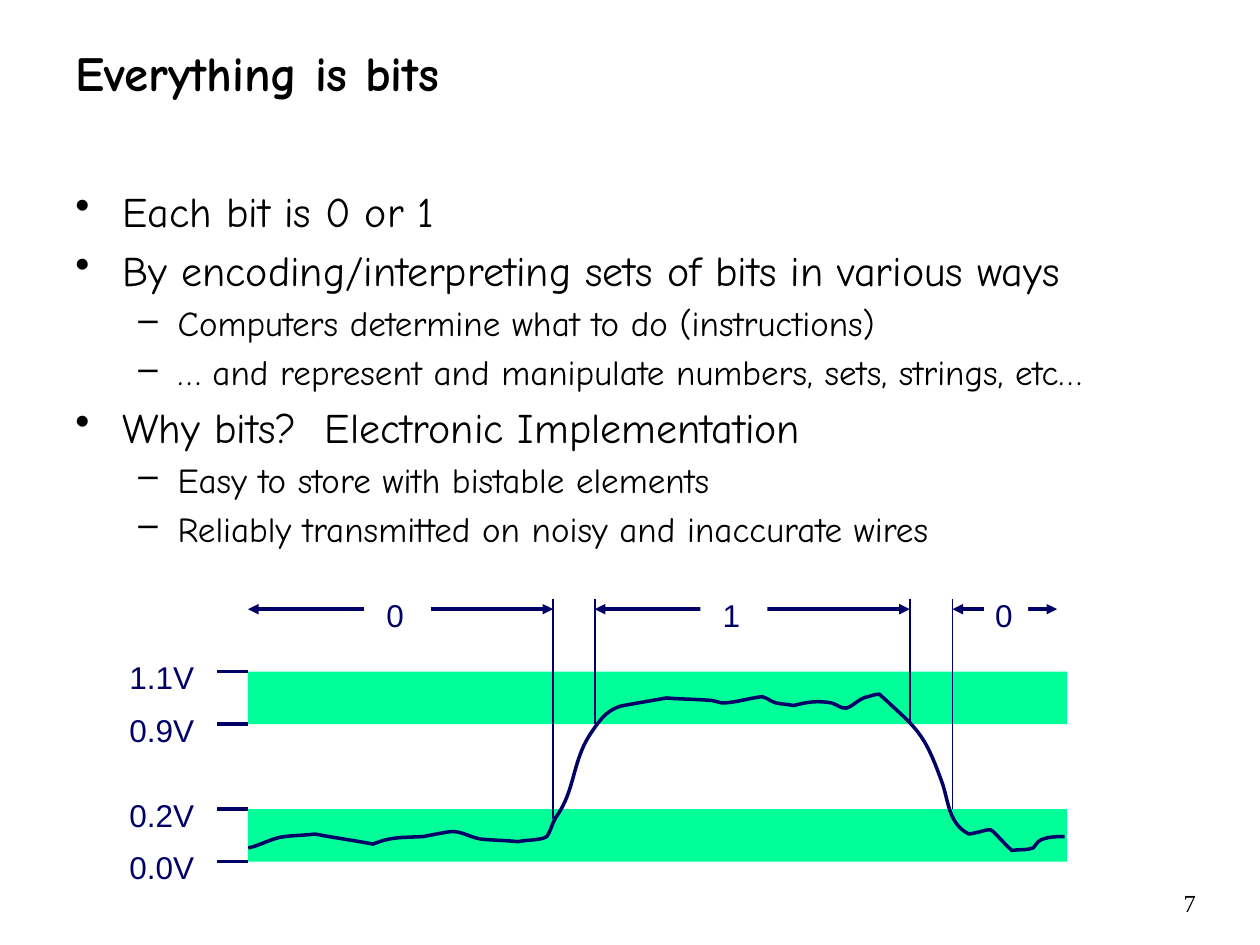
import pptx
import pptx.dml.color
import pptx.enum.shapes
import pptx.enum.text
import pptx.oxml
import pptx.oxml.ns
import pptx.util
from pptx.util import Cm

NAVY, GREEN, WHITE, BLACK = "000066", "00FF99", "FFFFFF", "000000"
LABEL_INSETS = (0.15, 0.15, 0.25, 0.15)
BAND_LEFT, BAND_WIDTH, BAND_HEIGHT = 5, 16.51, 1.06

BULLETS = [
    (0, "Each bit is 0 or 1"),
    (0, "By encoding/interpreting sets of bits in various ways"),
    (1, "Computers determine what to do (instructions)"),
    (1, "… and represent and manipulate numbers, sets, strings, etc…"),
    (0, "Why bits?  Electronic Implementation"),
    (1, "Easy to store with bistable elements"),
    (1, "Reliably transmitted on noisy and inaccurate wires"),
]
BULLET_LEVELS = [("•", 0.95, -0.95, 24), ("–", 2.06, -0.79, 20)]

VOLTAGES = {"1.1V": 13.54, "0.9V": 14.6, "0.2V": 16.31, "0.0V": 17.37}
INTERVALS = [(5, 11.15), (11.99, 18.34), (19.2, 21.31)]
BOUNDARIES = [(11.15, 16.51), (11.99, 14.6), (18.34, 14.6), (19.2, 16.31)]
BITS = [("0", 7.34, 1.35), ("1", 14.12, 1.35), ("0", 19.84, 0.89)]

SIGNAL_UNIT = Cm(0.0254)
SIGNAL_START = (197, 673)
SIGNAL_CURVES = [
    [(207, 671), (216, 665), (226, 664)],
    [(234, 663), (242, 663), (250, 662)],
    [(265, 665), (281, 667), (296, 670)],
    [(311, 664), (317, 665), (336, 664)],
    [(341, 663), (356, 660), (359, 660)],
    [(367, 660), (374, 665), (382, 666)],
    [(392, 667), (401, 667), (411, 668)],
    [(416, 667), (422, 667), (428, 666)],
    [(430, 666), (432, 665), (434, 664)],
    [(437, 660), (438, 654), (441, 649)],
    [(454, 631), (454, 614), (462, 595)],
    [(465, 587), (472, 577), (477, 571)],
    [(481, 566), (488, 561), (495, 560)],
    [(506, 558), (529, 554), (529, 554)],
    [(541, 555), (553, 555), (565, 556)],
    [(568, 556), (570, 558), (573, 558)],
    [(583, 558), (595, 554), (605, 553)],
    [(609, 554), (612, 557), (616, 558)],
    [(621, 559), (625, 559), (630, 560)],
    [(641, 557), (649, 556), (660, 558)],
    [(664, 559), (668, 563), (672, 562)],
    [(678, 560), (682, 554), (689, 553)],
    [(692, 552), (695, 551), (698, 551)],
    [(728, 579), (733, 580), (748, 622)],
    [(753, 637), (753, 654), (769, 662)],
    [(793, 658), (780, 653), (803, 675)],
    [(809, 674), (815, 675), (820, 673)],
    [(822, 672), (822, 669), (824, 668)],
    [(829, 664), (839, 664), (845, 664)],
]


def color(value):
    return pptx.dml.color.RGBColor.from_string(value)


def append_xml(parent, tag, **attributes):
    element = pptx.oxml.parse_xml(f"<a:{tag} {pptx.oxml.ns.nsdecls('a')}/>")
    for name, value in attributes.items():
        element.set(name, str(value))
    parent.append(element)
    return element


def write_paragraph(paragraph, text, size=18, font="Arial", ink=NAVY, bold=False, align="LEFT"):
    paragraph.alignment = getattr(pptx.enum.text.PP_ALIGN, align)
    run = paragraph.add_run()
    run.text = text
    run.font.size = pptx.util.Pt(size)
    run.font.name = font
    run.font.bold = bold
    run.font.color.rgb = color(ink)


def set_insets(frame, left=0.25, top=0.13, right=0.25, bottom=0.13):
    frame.margin_left, frame.margin_top = Cm(left), Cm(top)
    frame.margin_right, frame.margin_bottom = Cm(right), Cm(bottom)


def add_text_frame(slide, left, top, width, height, insets=(), wrap=True):
    frame = slide.shapes.add_textbox(Cm(left), Cm(top), Cm(width), Cm(height)).text_frame
    frame.word_wrap = wrap
    set_insets(frame, *insets)
    return frame


def add_bullets(slide):
    frame = add_text_frame(slide, 1.27, 2.74, 23.06, 14.81, insets=(0.25, 1))
    for index, (level, text) in enumerate(BULLETS):
        mark, margin, indent, size = BULLET_LEVELS[level]
        paragraph = frame.add_paragraph() if index else frame.paragraphs[0]
        paragraph.level = level
        properties = paragraph._p.get_or_add_pPr()
        properties.set("marL", str(Cm(margin)))
        properties.set("indent", str(Cm(indent)))
        if index:
            append_xml(append_xml(properties, "spcBef"), "spcPct", val=20000)
        append_xml(properties, "buChar", char=mark)
        write_paragraph(paragraph, text, size=size, font="Comic Neue", ink=BLACK)


def add_rectangle(slide, left, top, width, height, fill):
    kind = pptx.enum.shapes.MSO_SHAPE.RECTANGLE
    shape = slide.shapes.add_shape(kind, Cm(left), Cm(top), Cm(width), Cm(height))
    shape.shadow.inherit = False
    shape.fill.solid()
    shape.fill.fore_color.rgb = color(fill)
    shape.line.fill.background()
    return shape


def add_line(slide, start, end, weight=2, arrows=False):
    kind = pptx.enum.shapes.MSO_CONNECTOR.STRAIGHT
    connector = slide.shapes.add_connector(kind, *map(Cm, start + end))
    connector.line.color.rgb = color(NAVY)
    connector.line.width = pptx.util.Pt(weight)
    append_xml(connector._element.spPr, "effectLst")
    if arrows:
        for tag in ("headEnd", "tailEnd"):
            append_xml(connector.line._get_or_add_ln(), tag, type="triangle")


def add_signal(slide):
    builder = slide.shapes.build_freeform(*SIGNAL_START, scale=SIGNAL_UNIT)
    builder.add_line_segments([point for curve in SIGNAL_CURVES for point in curve], close=False)
    shape = builder.convert_to_shape()
    shape.shadow.inherit = False
    shape.fill.background()
    shape.line.color.rgb = color(NAVY)
    shape.line.width = pptx.util.Pt(2)
    outline = shape._element.xpath(".//a:path")[0]
    segments = outline.xpath("./a:lnTo")
    for index in range(0, len(segments), 3):
        curve = append_xml(outline, "cubicBezTo")
        for segment in segments[index:index + 3]:
            curve.append(segment[0])
            outline.remove(segment)


def add_voltage(slide, text, level):
    add_line(slide, (BAND_LEFT, level), (BAND_LEFT - 0.63, level))
    frame = add_text_frame(slide, 2.46, level - 0.42, 1.75, 1.05, LABEL_INSETS, wrap=False)
    frame.auto_size = pptx.enum.text.MSO_AUTO_SIZE.SHAPE_TO_FIT_TEXT
    write_paragraph(frame.paragraphs[0], text)


def add_bit(slide, text, left, width):
    frame = add_rectangle(slide, left, 11.86, width, 1.06, WHITE).text_frame
    frame.vertical_anchor = pptx.enum.text.MSO_ANCHOR.TOP
    set_insets(frame, *LABEL_INSETS)
    write_paragraph(frame.paragraphs[0], text, align="CENTER")


def main():
    presentation = pptx.Presentation()
    presentation.slide_width, presentation.slide_height = Cm(25.4), Cm(19.05)
    slide = presentation.slides.add_slide(presentation.slide_layouts[6])

    title = add_text_frame(slide, 1.27, 0.56, 23.06, 1.78)
    title.vertical_anchor = pptx.enum.text.MSO_ANCHOR.MIDDLE
    write_paragraph(title.paragraphs[0], "Everything is bits", size=28,
                    font="Comic Neue", ink=BLACK, bold=True)
    add_bullets(slide)

    for top_voltage in ("0.2V", "1.1V"):
        add_rectangle(slide, BAND_LEFT, VOLTAGES[top_voltage], BAND_WIDTH, BAND_HEIGHT, GREEN)
    add_signal(slide)
    for text, level in VOLTAGES.items():
        add_voltage(slide, text, level)
    for start, end in INTERVALS:
        add_line(slide, (start, 12.28), (end, 12.28), arrows=True)
    for position, bottom in BOUNDARIES:
        add_line(slide, (position, 12.07), (position, bottom), weight=1)
    for text, left, width in BITS:
        add_bit(slide, text, left, width)

    number = add_text_frame(slide, 20.75, 17.78, 3.61, 0.71)
    write_paragraph(number.paragraphs[0], "7", size=14, font="Times New Roman",
                    ink=BLACK, align="RIGHT")
    presentation.save("out.pptx")


if __name__ == "__main__":
    main()
